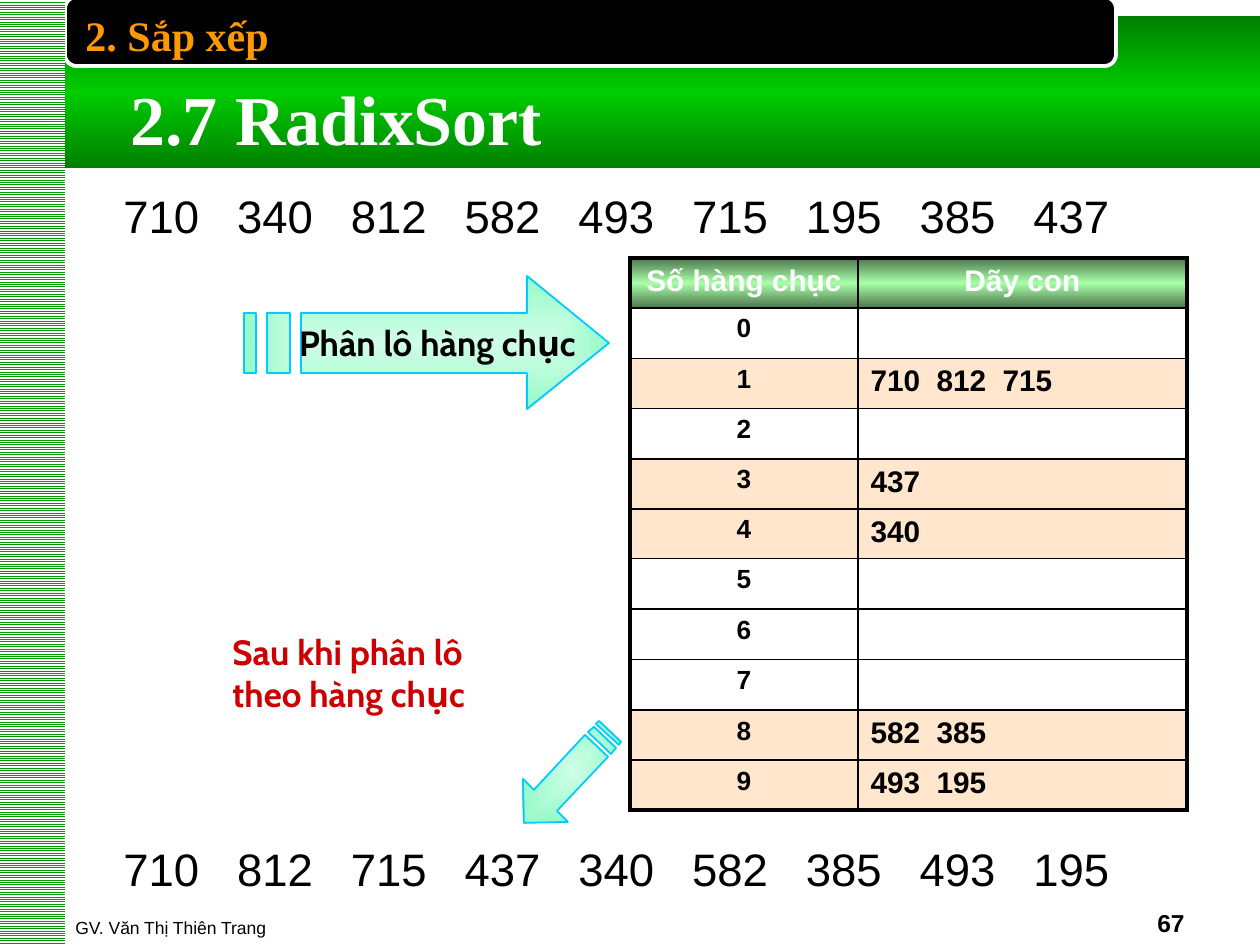
"""Build the RadixSort slide: bucketing numbers by their tens digit."""
from lxml.etree import SubElement
from pptx import Presentation
from pptx.dml.color import RGBColor
from pptx.enum.dml import MSO_PATTERN
from pptx.enum.shapes import MSO_SHAPE
from pptx.enum.text import MSO_ANCHOR, PP_ALIGN
from pptx.oxml import parse_xml
from pptx.oxml.ns import nsdecls, qn
from pptx.util import Pt

PX = 914400 / 126
COLORS = {
    "black": "000000", "white": "FFFFFF", "orange": "FF9900", "red": "CC0000",
    "green": "008000", "bright": "00CC00", "stripe": "009900", "cyan": "00CCFF",
    "mint": "99FFCC", "mint_edge": "96FAC8", "head": "4D764D", "head_mid": "A7FFA7",
    "peach": "FFE6CD",
}
BEFORE = ["710", "340", "812", "582", "493", "715", "195", "385", "437"]
AFTER = ["710", "812", "715", "437", "340", "582", "385", "493", "195"]
HEADERS = ["Số hàng chục", "Dãy con"]
BUCKETS = [[], ["710", "812", "715"], [], ["437"], ["340"], [], [], [],
           ["582", "385"], ["493", "195"]]
COLUMNS, ROW_HEIGHT = [228, 329], 50
RIGHT_ARROW = [
    [(527, 276), (527, 313), (301, 313), (301, 373), (527, 373), (527, 409), (609, 343)],
    [(267, 313), (267, 373), (290, 373), (290, 313)],
    [(244, 313), (244, 373), (256, 373), (256, 313)],
]
DOWN_ARROW = [
    [(568, 822), (557, 811), (608, 757), (585, 735), (534, 790), (523, 779), (524, 823)],
    [(616, 748), (594, 727), (588, 732), (611, 754)],
    [(621, 742), (599, 721), (596, 724), (619, 745)],
]


def emu(*lengths):
    return [round(n * PX) for n in lengths]


def rgb(name):
    return RGBColor.from_string(COLORS[name])


def add_gradient(fill, props, stops, direction):
    fill.background()
    stop_xml = "".join(
        f'<a:gs pos="{pos * 1000}"><a:srgbClr val="{COLORS[name]}">'
        f'<a:alpha val="{alpha * 1000}"/></a:srgbClr></a:gs>'
        for pos, name, alpha in stops)
    grad = parse_xml(f'<a:gradFill {nsdecls("a")} rotWithShape="1">'
                     f"<a:gsLst>{stop_xml}</a:gsLst>{direction}</a:gradFill>")
    props.replace(props.find(qn("a:noFill")), grad)


def add_vertical_gradient(fill, props, edge, middle):
    add_gradient(fill, props, [(0, edge, 100), (50, middle, 100), (100, edge, 100)],
                 '<a:lin ang="5400000" scaled="1"/>')


def add_run(p, text, size, color="black", font="Arial", bold=False):
    r = p.add_run()
    r.text = text
    r.font.size, r.font.name, r.font.bold = Pt(size), font, bold
    r.font.color.rgb = rgb(color)


def add_numbers(p, numbers, pitch, size, bold=False):
    tabs = SubElement(p._p.get_or_add_pPr(), qn("a:tabLst"))
    for i in range(1, len(numbers)):
        SubElement(tabs, qn("a:tab"), pos=str(round(i * pitch * PX)), algn="l")
    add_run(p, "\t".join(numbers), size, bold=bold)


def add_box(s, at, lines=(), wrap=True, anchor=MSO_ANCHOR.TOP, align=PP_ALIGN.LEFT, **style):
    tf = s.shapes.add_textbox(*emu(*at)).text_frame
    tf.word_wrap, tf.vertical_anchor = wrap, anchor
    for i, line in enumerate(lines):
        p = tf.add_paragraph() if i else tf.paragraphs[0]
        p.alignment = align
        add_run(p, line, **style)
    return tf


def add_block(s, kind, at):
    sp = s.shapes.add_shape(kind, *emu(*at))
    sp.shadow.inherit = False
    sp.line.fill.background()
    return sp


def add_arrow(s, outlines, alpha):
    first, *others = outlines
    builder = s.shapes.build_freeform(*first[0], scale=PX)
    builder.add_line_segments(first[1:], close=True)
    for outline in others:
        builder.move_to(*outline[0])
        builder.add_line_segments(outline[1:], close=True)
    sp = builder.convert_to_shape()
    sp.shadow.inherit = False
    add_gradient(sp.fill, sp._element.spPr, [(0, "mint", alpha), (100, "mint_edge", 100)],
                 '<a:path path="rect"><a:fillToRect l="50000" t="50000" '
                 'r="50000" b="50000"/></a:path>')
    sp.line.color.rgb, sp.line.width = rgb("cyan"), Pt(1)
    return sp


def add_borders(tc_props, outer):
    for i, side in enumerate("LRTB"):
        width = Pt(2.25 if side in outer else 1)
        tc_props.insert(i, parse_xml(
            f'<a:ln{side} {nsdecls("a")} w="{width}"><a:solidFill>'
            f'<a:srgbClr val="{COLORS["black"]}"/></a:solidFill></a:ln{side}>'))


def add_bucket_table(s):
    rows = len(BUCKETS) + 1
    frame = s.shapes.add_table(rows, 2, *emu(630, 258, sum(COLUMNS), rows * ROW_HEIGHT))
    table = frame.table
    table.first_row = table.horz_banding = False
    for column, width in zip(table.columns, COLUMNS):
        column.width = emu(width)[0]
    for i, row in enumerate(table.rows):
        row.height = emu(ROW_HEIGHT)[0]
        numbers = BUCKETS[i - 1] if i else []
        for j, cell in enumerate(row.cells):
            p = cell.text_frame.paragraphs[0]
            props = cell._tc.get_or_add_tcPr()
            if i == 0:
                add_vertical_gradient(cell.fill, props, "head", "head_mid")
                add_run(p, HEADERS[j], 17, "white", bold=True)
            else:
                cell.fill.solid()
                cell.fill.fore_color.rgb = rgb("peach" if numbers else "white")
                if j == 0:
                    add_run(p, str(i - 1), 15, bold=True)
                elif numbers:
                    add_numbers(p, numbers, 66, 17, bold=True)
            p.alignment = PP_ALIGN.CENTER if i == 0 or j == 0 else PP_ALIGN.LEFT
            edge = "T" if i == 0 else "B" if i == rows - 1 else ""
            add_borders(props, "LR"[j] + edge)


def main():
    prs = Presentation()
    prs.slide_width, prs.slide_height = emu(1260, 945)
    s = prs.slides.add_slide(prs.slide_layouts[6])

    band = add_block(s, MSO_SHAPE.RECTANGLE, (0, 16, 1261, 152))
    add_vertical_gradient(band.fill, band._element.spPr, "green", "bright")
    tab = add_block(s, MSO_SHAPE.ROUNDED_RECTANGLE, (65, -3, 1051, 69))
    tab.fill.solid()
    tab.fill.fore_color.rgb = rgb("black")
    tab.line.color.rgb, tab.line.width = rgb("white"), Pt(2.25)
    stripes = add_block(s, MSO_SHAPE.RECTANGLE, (-1, 0, 66, 945))
    stripes.fill.patterned()
    stripes.fill.pattern = MSO_PATTERN.LIGHT_HORIZONTAL
    stripes.fill.fore_color.rgb, stripes.fill.back_color.rgb = rgb("stripe"), rgb("white")

    add_box(s, (63, 881, 766, 63), ["GV. Văn Thị Thiên Trang"],
            anchor=MSO_ANCHOR.BOTTOM, size=10)
    add_box(s, (903, 881, 294, 63), ["67"], anchor=MSO_ANCHOR.BOTTOM,
            align=PP_ALIGN.RIGHT, size=14, bold=True)
    add_box(s, (118, 69, 437, 97), ["2.7 RadixSort"], wrap=False, size=40,
            color="white", font="Times New Roman", bold=True)
    add_box(s, (73, 3, 966, 63), ["2. Sắp xếp"], size=24, color="orange",
            font="Times New Roman", bold=True)
    for top, numbers in ((182, BEFORE), (835, AFTER)):
        add_numbers(add_box(s, (111, top, 1086, 63)).paragraphs[0], numbers, 113.75, 26)

    tf = add_arrow(s, RIGHT_ARROW, 44).text_frame
    tf.word_wrap, tf.vertical_anchor = False, MSO_ANCHOR.MIDDLE
    tf.margin_left, tf.margin_right = emu(22, 0)
    tf.paragraphs[0].alignment = PP_ALIGN.CENTER
    add_run(tf.paragraphs[0], "Phân lô hàng chục", 20, font="Cabin", bold=True)
    add_arrow(s, DOWN_ARROW, 47)
    add_bucket_table(s)
    add_box(s, (220, 624, 336, 97), ["Sau khi phân lô", "theo hàng chục"], size=20,
            color="red", font="Cabin", bold=True)
    prs.save("out.pptx")


if __name__ == "__main__":
    main()
